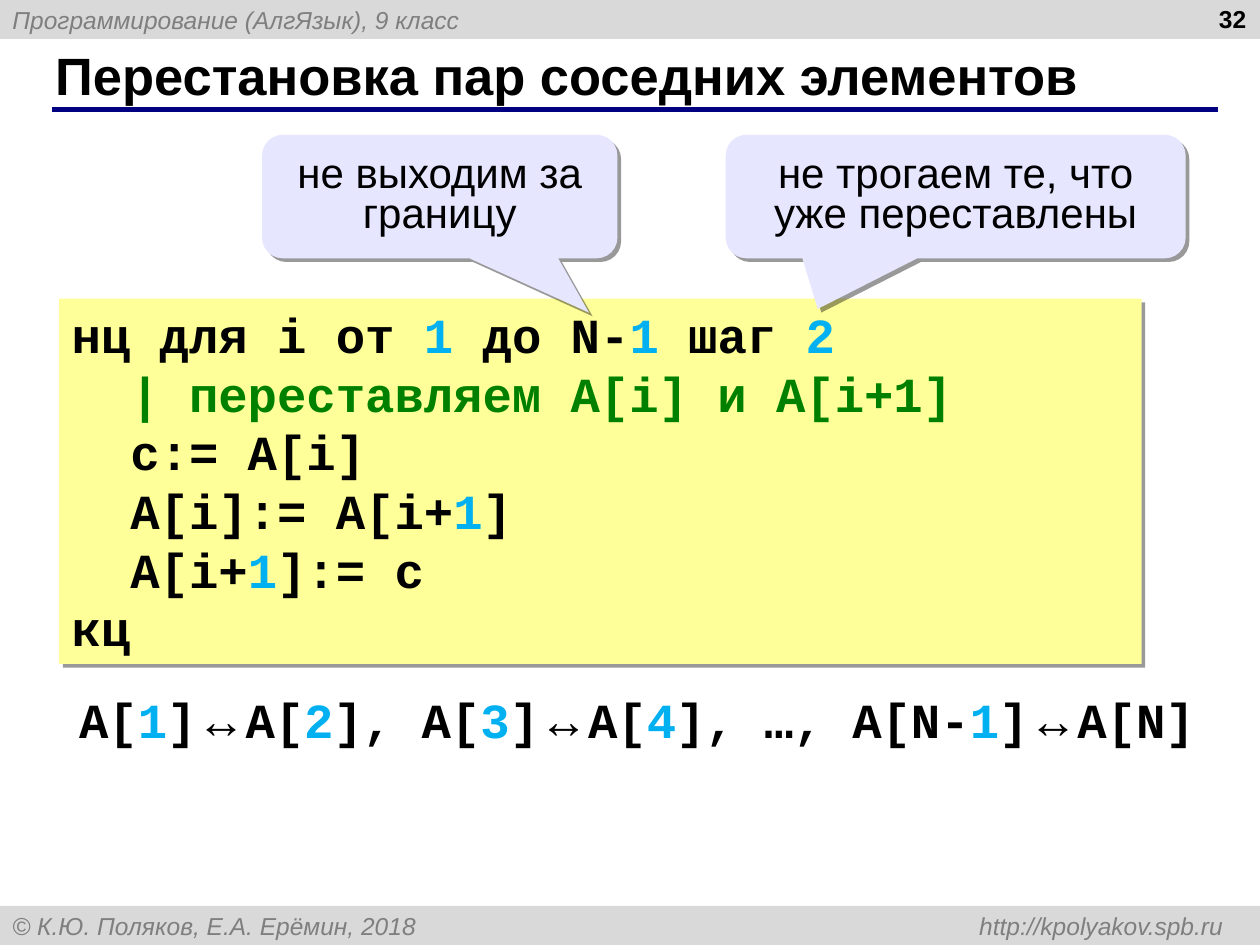
from itertools import groupby

from lxml.etree import SubElement
from pptx import Presentation
from pptx.dml.color import RGBColor
from pptx.enum.shapes import MSO_CONNECTOR as CONN, MSO_SHAPE as SHAPE
from pptx.enum.text import MSO_ANCHOR as ANCHOR, PP_ALIGN as ALIGN
from pptx.oxml.ns import qn
from pptx.util import Inches, Pt

COLORS = {
    "bar": "D9D9D9",
    "bar_text": "7F7F7F",
    "rule": "000080",
    "text": "000000",
    "code": "FFFF99",
    "callout": "E6E6FF",
    "number": "00B0F0",
    "comment": "008000",
}
BODY_FONT, CODE_FONT = "Arial", "Courier New"
CODE = [
    "нц для i от 1 до N-1 шаг 2",
    "  | переставляем A[i] и A[i+1]",
    "  с:= A[i]",
    "  A[i]:= A[i+1]",
    "  A[i+1]:= c",
    "кц",
]
SWAPS = "A[1]↔A[2], A[3]↔A[4], …, A[N-1]↔A[N]"


def rgb(name):
    return RGBColor.from_string(COLORS[name])


def add_run(p, text, size=14, color="text", font=BODY_FONT, bold=False, italic=False):
    r = p.add_run()
    r.text = text
    r.font.size = Pt(size)
    r.font.name = font
    r.font.bold = bold
    r.font.italic = italic
    r.font.color.rgb = rgb(color)


def add_code_line(p, text):
    if text.lstrip().startswith("|"):
        add_run(p, text, size=28, color="comment", font=CODE_FONT, bold=True)
        return
    for (is_number, is_arrow), chars in groupby(text, lambda c: (c.isdigit(), c == "↔")):
        add_run(p, "".join(chars), size=28, bold=True,
                color="number" if is_number else "text",
                font=BODY_FONT if is_arrow else CODE_FONT)


def add_frame(s, box, anchor=ANCHOR.TOP):
    sp = s.shapes.add_textbox(*map(Inches, box))
    tf = sp.text_frame
    tf.word_wrap = True
    tf.vertical_anchor = anchor
    return tf


def add_panel(s, kind, box, fill, anchor=ANCHOR.MIDDLE):
    sp = s.shapes.add_shape(kind, *map(Inches, box))
    sp.shadow.inherit = False
    sp.fill.solid()
    sp.fill.fore_color.rgb = rgb(fill)
    sp.line.fill.background()
    tf = sp.text_frame
    tf.word_wrap = True
    tf.vertical_anchor = anchor
    tf.paragraphs[0].alignment = ALIGN.LEFT
    return sp


def add_shadow(sp):
    effects = sp._element.spPr.find(qn("a:effectLst"))
    shadow = SubElement(effects, qn("a:outerShdw"), dist=str(Pt(3)),
                        dir=str(45 * 60000), algn="ctr", rotWithShape="0")
    color = SubElement(shadow, qn("a:srgbClr"), val=COLORS["text"])
    SubElement(color, qn("a:alpha"), val="40000")


def add_bar(s, box, text, right_tab=None):
    p = add_panel(s, SHAPE.RECTANGLE, box, "bar").text_frame.paragraphs[0]
    if right_tab:
        tabs = SubElement(p._p.get_or_add_pPr(), qn("a:tabLst"))
        SubElement(tabs, qn("a:tab"), pos=str(Inches(right_tab)), algn="r")
    add_run(p, text, color="bar_text", italic=True)


def add_title(s, box, text):
    left, top, width, height = box
    tf = add_frame(s, box, ANCHOR.MIDDLE)
    add_run(tf.paragraphs[0], text, size=30, bold=True)
    x, y = left + 0.07, top + height + 0.02
    line = s.shapes.add_connector(CONN.STRAIGHT, Inches(x), Inches(y),
                                  Inches(x + width + 0.1), Inches(y))
    line.line.color.rgb = rgb("rule")
    line.line.width = Pt(3)
    SubElement(line._element.spPr, qn("a:effectLst"))


def add_page_number(s, box, text):
    p = add_frame(s, box).paragraphs[0]
    p.alignment = ALIGN.RIGHT
    add_run(p, text, bold=True)


def add_code(s, box, lines):
    sp = add_panel(s, SHAPE.RECTANGLE, box, "code", ANCHOR.TOP)
    add_shadow(sp)
    tf = sp.text_frame
    tf.margin_right = 0
    for i, text in enumerate(lines):
        p = tf.add_paragraph() if i else tf.paragraphs[0]
        p.alignment = ALIGN.LEFT
        p.line_spacing = Pt(33.5)
        add_code_line(p, text)


def add_callout(s, box, text, tip):
    sp = add_panel(s, SHAPE.ROUNDED_RECTANGULAR_CALLOUT, box, "callout")
    for i, value in enumerate((*tip, 0.167)):
        sp.adjustments[i] = value
    add_shadow(sp)
    p = sp.text_frame.paragraphs[0]
    p.alignment = ALIGN.CENTER
    p.line_spacing = 0.8
    add_run(p, text, size=24)


def add_swaps(s, box, text):
    add_code_line(add_frame(s, box).paragraphs[0], text)


def main():
    prs = Presentation()
    prs.slide_width, prs.slide_height = Inches(10), Inches(7.5)
    s = prs.slides.add_slide(prs.slide_layouts[6])
    add_bar(s, (0, 0, 10, 0.31), "Программирование (АлгЯзык), 9 класс")
    add_bar(s, (0, 7.19, 10, 0.31),
            "© К.Ю. Поляков, Е.А. Ерёмин, 2018 \thttp://kpolyakov.spb.ru", right_tab=9.61)
    add_title(s, (0.34, 0.33, 9.16, 0.52), "Перестановка пар соседних элементов")
    add_page_number(s, (7.66, -0.02, 2.33, 0.52), "32")
    add_code(s, (0.47, 2.37, 8.59, 2.9), CODE)
    add_callout(s, (5.76, 1.07, 3.65, 0.98), "не трогаем те, что уже переставлены", (-0.3, 0.91))
    add_callout(s, (2.08, 1.07, 2.82, 0.98), "не выходим за границу", (0.42, 0.94))
    add_swaps(s, (0.53, 5.42, 9.24, 0.57), SWAPS)
    prs.save("out.pptx")


if __name__ == "__main__":
    main()
